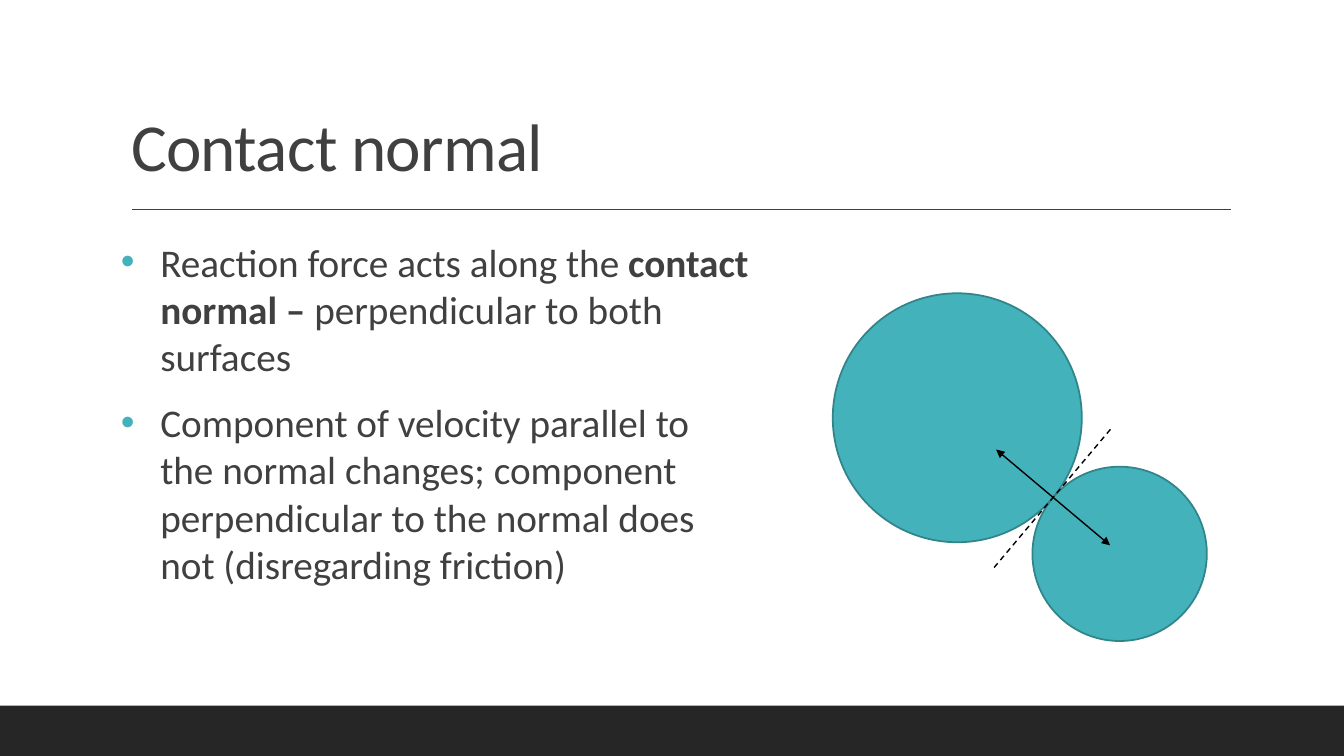
from pptx import Presentation
from pptx.dml.color import RGBColor
from pptx.enum.dml import MSO_LINE
from pptx.enum.shapes import MSO_CONNECTOR, MSO_SHAPE
from pptx.enum.text import MSO_ANCHOR, MSO_AUTO_SIZE, PP_ALIGN
from pptx.oxml.ns import qn
from pptx.util import Inches, Pt
from lxml import etree

WHITE = RGBColor(0xFF, 0xFF, 0xFF)
BLACK = RGBColor(0, 0, 0)
CHARCOAL = RGBColor(0x26, 0x26, 0x26)
GRAY = RGBColor(0x40, 0x40, 0x40)
TEAL = RGBColor(0x44, 0xB2, 0xBB)
DARK_TEAL = RGBColor(0x32, 0x84, 0x8A)
RECTANGLE, OVAL = MSO_SHAPE.RECTANGLE, MSO_SHAPE.OVAL
STRAIGHT = MSO_CONNECTOR.STRAIGHT
DASH = MSO_LINE.DASH
TOP, BOTTOM = MSO_ANCHOR.TOP, MSO_ANCHOR.BOTTOM
LEFT = PP_ALIGN.LEFT
NO_FIT = MSO_AUTO_SIZE.NONE


class SlideBuilder:
    font_name = "Calibri"
    title_size, body_size = Pt(48), Pt(28)

    def __init__(self, slide):
        self.slide = slide
        slide.background.fill.solid()
        slide.background.fill.fore_color.rgb = WHITE

    def place(self, box, left, top, width, height):
        box.left, box.top = Inches(left), Inches(top)
        box.width, box.height = Inches(width), Inches(height)

    def style(self, para, size):
        para.alignment = LEFT
        para.font.name = self.font_name
        para.font.size = size
        para.font.color.rgb = GRAY

    def title(self, text, *bounds):
        box = self.slide.shapes.title
        self.place(box, *bounds)
        frame = box.text_frame
        frame.text = text
        frame.auto_size = NO_FIT
        frame.vertical_anchor = BOTTOM
        para = frame.paragraphs[0]
        self.style(para, self.title_size)
        para.line_spacing = 0.9
        para.runs[0].font._element.set("spc", "-50")

    def bullets(self, items, *bounds):
        box = self.slide.placeholders[1]
        self.place(box, *bounds)
        frame = box.text_frame
        frame.auto_size = NO_FIT
        frame.vertical_anchor = TOP
        frame.margin_left = frame.margin_right = 0
        for index, item in enumerate(items):
            para = frame.add_paragraph() if index else frame.paragraphs[0]
            for text, bold in item:
                span = para.add_run()
                span.text = text
                span.font.bold = bold
            self.style(para, self.body_size)
            para.space_before, para.space_after = Pt(12), Pt(2)
            self.bullet_mark(para)

    def bullet_mark(self, para):
        properties = para._p.get_or_add_pPr()
        properties.set("marL", str(Inches(0.39)))
        properties.set("indent", str(Inches(-0.39)))
        color = etree.Element(qn("a:buClr"))
        etree.SubElement(color, qn("a:srgbClr"), val=str(TEAL))
        font = etree.Element(qn("a:buFont"), typeface="Arial")
        mark = etree.Element(qn("a:buChar"), char="•")
        # Bullet settings come before the default run properties
        for element in (color, font, mark):
            properties.find(qn("a:defRPr")).addprevious(element)

    def shape(self, kind, bounds, fill, line=None):
        shape = self.slide.shapes.add_shape(kind, *map(Inches, bounds))
        shape.shadow.inherit = False
        shape.fill.solid()
        shape.fill.fore_color.rgb = fill
        if line is None:
            shape.line.fill.background()
        else:
            shape.line.color.rgb = line
            shape.line.width = Pt(1.25)

    def circle(self, left, top, diameter):
        self.shape(OVAL, (left, top, diameter, diameter), TEAL, DARK_TEAL)

    def line(self, start, end, color, dash=None, arrows=False):
        line = self.slide.shapes.add_connector(STRAIGHT, *map(Inches, start + end))
        line.line.color.rgb = color
        line.line.width = Pt(1)
        if dash is not None:
            line.line.dash_style = dash
        if arrows:
            for end_name in ("a:headEnd", "a:tailEnd"):
                etree.SubElement(line.line._get_or_add_ln(), qn(end_name), type="triangle")
        etree.SubElement(line._element.spPr, qn("a:effectLst"))


deck = Presentation()
deck.slide_width, deck.slide_height = Inches(13.33), Inches(7.5)
page = SlideBuilder(deck.slides.add_slide(deck.slide_layouts[1]))

# Footer band and title rule
page.shape(RECTANGLE, (0, 7, 13.33, 0.5), CHARCOAL)
page.line((1.31, 2.08), (12.21, 2.08), GRAY)

# Title and explanation
page.title("Contact normal", 1.2, 0.31, 11, 1.59)
page.bullets([
    [("Reaction force acts along the ", False),
     ("contact normal – ", True),
     ("perpendicular to both surfaces", False)],
    [("Component of velocity parallel to the normal changes; component "
      "perpendicular to the normal does not (disregarding friction)", False)],
], 1.2, 2.31, 6.23, 4.11)

# Touching circles with contact tangent and normal
page.circle(8.26, 2.91, 2.47)
page.circle(10.24, 4.63, 1.73)
page.line((9.86, 5.63), (11.03, 4.24), BLACK, dash=DASH)
page.line((9.88, 4.46), (11.01, 5.41), BLACK, arrows=True)

deck.save("out.pptx")
